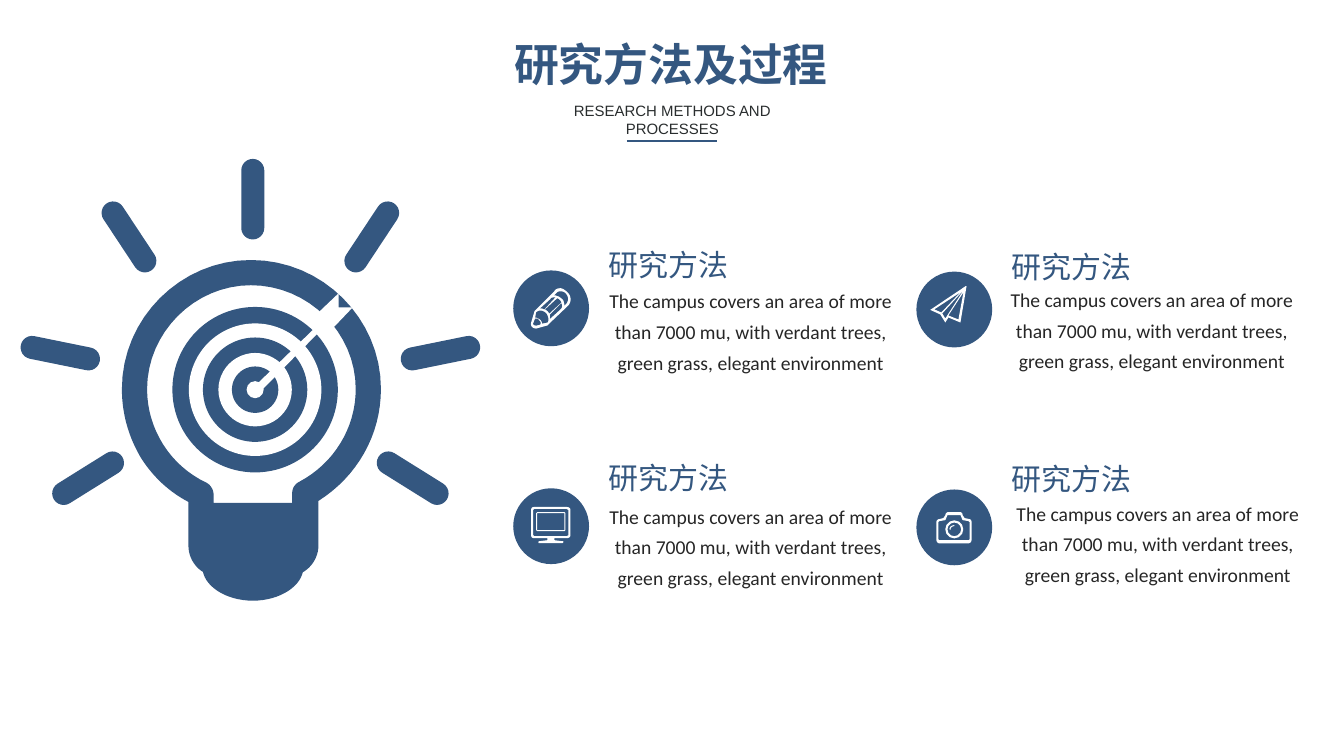
from lxml.etree import SubElement
from pptx import Presentation
from pptx.dml.color import RGBColor
from pptx.enum.shapes import MSO_CONNECTOR, MSO_SHAPE
from pptx.enum.text import MSO_ANCHOR, MSO_AUTO_SIZE, PP_ALIGN
from pptx.oxml.ns import qn
from pptx.util import Cm, Pt

BLUE, WHITE = "345780", "FFFFFF"
GRID = 0.0254
CURVE_STEPS = 16
SUMMARY = ("The campus covers an area of more than 7000 mu, with verdant trees, "
           "green grass, elegant environment")

BULB = """M 249 258 C 179 258 121 316 121 386 C 121 411 128 435 141 456
C 153 474 168 488 187 498 L 187 541 C 187 558 200 572 218 572 L 285 572
C 302 572 316 558 316 541 L 316 497 C 354 473 378 432 378 386 C 378 316 320 258 249 258
M 297 478 C 293 480 290 484 290 489 L 290 499 L 212 499 L 212 491
C 212 486 209 481 205 479 C 169 462 146 426 146 386 C 146 330 193 283 249 283
C 306 283 353 330 353 386 C 353 425 331 460 297 478"""
BULB_BASE = "M 301 563 C 301 581 278 596 251 596 C 224 596 201 581 201 563"
ARROW = """M 320 326 L 330 326 L 350 305 L 336 305 L 336 291 L 315 311
L 316 322 L 253 383 L 253 388 L 259 388"""
PENCIL = """M 563 290 C 561 288 558 286 556 286 C 553 286 551 287 550 289 L 531 308
C 531 308 530 309 530 310 L 527 320 C 526 324 529 326 532 326 L 543 323
C 544 322 544 322 545 321 L 564 303 C 567 299 567 294 563 290"""
PENCIL_FACES = """M 562 301 L 560 303 C 560 300 559 297 557 296
C 555 294 552 293 550 293 L 552 291
C 553 290 554 289 556 289 C 558 289 560 290 561 291 C 563 293 565 297 562 301
M 538 321 C 538 320 537 318 536 317 C 534 316 533 315 531 315 L 532 310
C 535 307 539 308 542 311 C 544 314 545 318 543 320
M 532 323 C 530 323 529 322 529 321 L 531 316 C 532 316 534 316 535 318 C 536 319 537 320 536 322"""
PENCIL_STRIPES = """M 540 307 C 539 306 537 306 536 306 L 546 297 C 547 295 549 295 551 295
M 545 311 C 544 309 543 308 541 307 L 553 296 C 555 297 556 298 557 300
M 546 316 C 546 314 546 313 546 312 L 557 301 C 558 303 558 305 556 307"""
PLANE = """M 958 284 L 923 307.5 L 933 312 L 938 320 L 941 315 L 953 320 L 959 284
M 951 317 L 941 313 L 956 290 M 935 311 L 956 288 L 938 316
M 927 307 L 953 290 L 934 310"""
MONITOR = """M 562 503 L 530 503 C 528 503 527 504 527 506 L 527 531 C 527 533 528 534 530 534
L 543 534 L 543 536 L 535 537 C 534 537 534 539 535 539 L 557 539 C 559 539 560 537 558 537
L 550 536 L 550 534 L 562 534 C 564 534 566 533 566 531 L 566 506 C 566 504 564 503 562 503
M 564 531 L 562 532 L 530 532 L 529 531 L 529 506 L 530 505 L 562 505 L 564 506"""
SCREEN = """M 560 508 L 533 508 L 532 509 L 532 526 L 533 527 L 560 527 L 561 526 L 561 509
M 560 526 L 533 526 L 533 509 L 560 509"""
CAMERA = """M 962 515 L 957 514 L 955 511 C 955 509 954 508 952 508 L 941 508
C 940 508 938 509 938 511 L 936 514 L 932 515 C 930 515 929 517 929 518 L 929 535
C 929 537 930 539 932 539 L 961 539 C 963 539 964 537 964 535 L 964 518 C 964 517 963 515 962 515
M 962 535 L 961 536 L 932 536 L 931 535 L 931 518 L 932 517 L 938 516 L 940 511
L 941 511 L 952 511 L 953 511 L 955 516 L 961 517 L 962 518"""
GLINT = "M 947 521 C 944 521 942 523 942 525 L 943 526 C 943 523 945 522 947 522"

RAYS = [(9.37, 5.97, -56.5), (11.1, 8.9, -11.5), (10.4, 12.05, 32)]
RAY_MIRROR = 12.62
RING_DIAMETERS = [4.17, 3.34, 2.63, 1.85, 1.17, 0.43]
METHODS = [
    (0, 0, 14.73, 6.99, [(PENCIL, WHITE), (PENCIL_FACES, BLUE), (PENCIL_STRIPES, BLUE)]),
    (0, 1, 14.73, 12.42, [(MONITOR, WHITE), (SCREEN, WHITE)]),
    (1, 0, 24.84, 6.96, [(PLANE, WHITE)]),
    (1, 1, 24.99, 12.34, [(CAMERA, WHITE)]),
]


def color(hex_value):
    return RGBColor.from_string(hex_value)


def paint(shape, fill):
    shape.shadow.inherit = False
    shape.fill.solid()
    shape.fill.fore_color.rgb = color(fill)
    shape.line.fill.background()


def add_centred(page, kind, x, y, width, height, fill=BLUE, angle=0):
    shape = page.shapes.add_shape(kind, Cm(x - width / 2), Cm(y - height / 2),
                                  Cm(width), Cm(height))
    shape.rotation = angle
    paint(shape, fill)
    return shape


def trace(outline):
    contours = []
    tokens = iter(outline.split())
    for command in tokens:
        values = [float(next(tokens)) for _ in range(6 if command == "C" else 2)]
        points = list(zip(values[::2], values[1::2]))
        if command == "M":
            contours.append(points)
        elif command == "L":
            contours[-1] += points
        else:
            corners = [contours[-1][-1]] + points
            for step in range(1, CURVE_STEPS + 1):
                t = step / CURVE_STEPS
                weights = ((1 - t) ** 3, 3 * t * (1 - t) ** 2, 3 * t * t * (1 - t), t ** 3)
                contours[-1].append(tuple(
                    sum(weight * corner[axis] for weight, corner in zip(weights, corners))
                    for axis in (0, 1)))
    return [[(Cm(x * GRID), Cm(y * GRID)) for x, y in contour] for contour in contours]


def add_outline(page, outline, fill=BLUE):
    first, *others = trace(outline)
    builder = page.shapes.build_freeform(*first[0])
    builder.add_line_segments(first[1:], close=True)
    for contour in others:
        builder.move_to(*contour[0])
        builder.add_line_segments(contour[1:], close=True)
    paint(builder.convert_to_shape(), fill)


def write(box, text, size, font="Arial", ink=BLUE, bold=False,
          align=PP_ALIGN.LEFT, spacing=1.0, wrap=True):
    frame = box.text_frame
    frame.word_wrap = wrap
    frame.auto_size = MSO_AUTO_SIZE.NONE
    frame.vertical_anchor = MSO_ANCHOR.TOP
    para = frame.paragraphs[0]
    para.alignment = align
    para.line_spacing = spacing
    span = para.add_run()
    span.text = text
    span.font.size = Pt(size)
    span.font.name = font
    span.font.bold = bold
    span.font.color.rgb = color(ink)


def add_text(page, x, y, width, height, text, size, **style):
    box = page.shapes.add_textbox(Cm(x), Cm(y), Cm(width), Cm(height))
    write(box, text, size, **style)


def add_header(page):
    title = page.shapes.title
    title.left, title.top, title.width, title.height = Cm(12.67), Cm(0.81), Cm(8.48), Cm(1.63)
    write(title, "研究方法及过程", 32, bold=True, align=PP_ALIGN.CENTER, wrap=False)
    add_text(page, 13.44, 2.44, 7.01, 0.71, "RESEARCH METHODS AND PROCESSES", 10.7,
             ink="292D2E", align=PP_ALIGN.CENTER)
    rule = page.shapes.add_connector(MSO_CONNECTOR.STRAIGHT, Cm(15.8), Cm(3.56), Cm(18.06), Cm(3.56))
    rule.line.color.rgb = color(BLUE)
    rule.line.width = Pt(1.5)
    SubElement(rule._element.spPr, qn("a:effectLst"))


def add_light_bulb(page):
    mirrored = [(RAY_MIRROR - x, y, -angle) for x, y, angle in RAYS]
    for x, y, angle in RAYS + mirrored + [(6.37, 5.02, 90)]:
        ray = add_centred(page, MSO_SHAPE.ROUNDED_RECTANGLE, x, y, 2.03, 0.58, angle=angle)
        ray.adjustments[0] = 0.5
    add_outline(page, BULB_BASE)
    add_outline(page, BULB)
    for index, diameter in enumerate(RING_DIAMETERS):
        add_centred(page, MSO_SHAPE.OVAL, 6.43, 9.82, diameter, diameter,
                    fill=WHITE if index % 2 else BLUE)
    add_outline(page, ARROW, WHITE)


def add_method(page, column, row, text_x, text_y, icon):
    left, top = 12.93 + 10.16 * column, 6.81 + 0.03 * column
    add_centred(page, MSO_SHAPE.OVAL, left + 0.96, top + 5.49 * row + 0.96, 1.91, 1.91)
    for outline, fill in icon:
        add_outline(page, outline, fill)
    add_text(page, left + 2.16, top - 0.71 + 5.36 * row, 6.76, 1.17, "研究方法", 21.4)
    add_text(page, text_x, text_y, 8.38, 2.54, SUMMARY, 14, font="Calibri",
             ink="262626", align=PP_ALIGN.CENTER, spacing=1.3)


def add_lens(page):
    lens = add_centred(page, MSO_SHAPE.OVAL, 24.05, 13.34, 0.4, 0.4)
    lens.line.color.rgb = color(WHITE)
    lens.line.width = Pt(1.5)
    add_outline(page, GLINT, WHITE)


def main():
    deck = Presentation()
    deck.slide_width, deck.slide_height = Cm(33.87), Cm(19.05)
    page = deck.slides.add_slide(deck.slide_layouts[5])
    add_header(page)
    add_light_bulb(page)
    for method in METHODS:
        add_method(page, *method)
    add_lens(page)
    deck.save("out.pptx")


if __name__ == "__main__":
    main()
